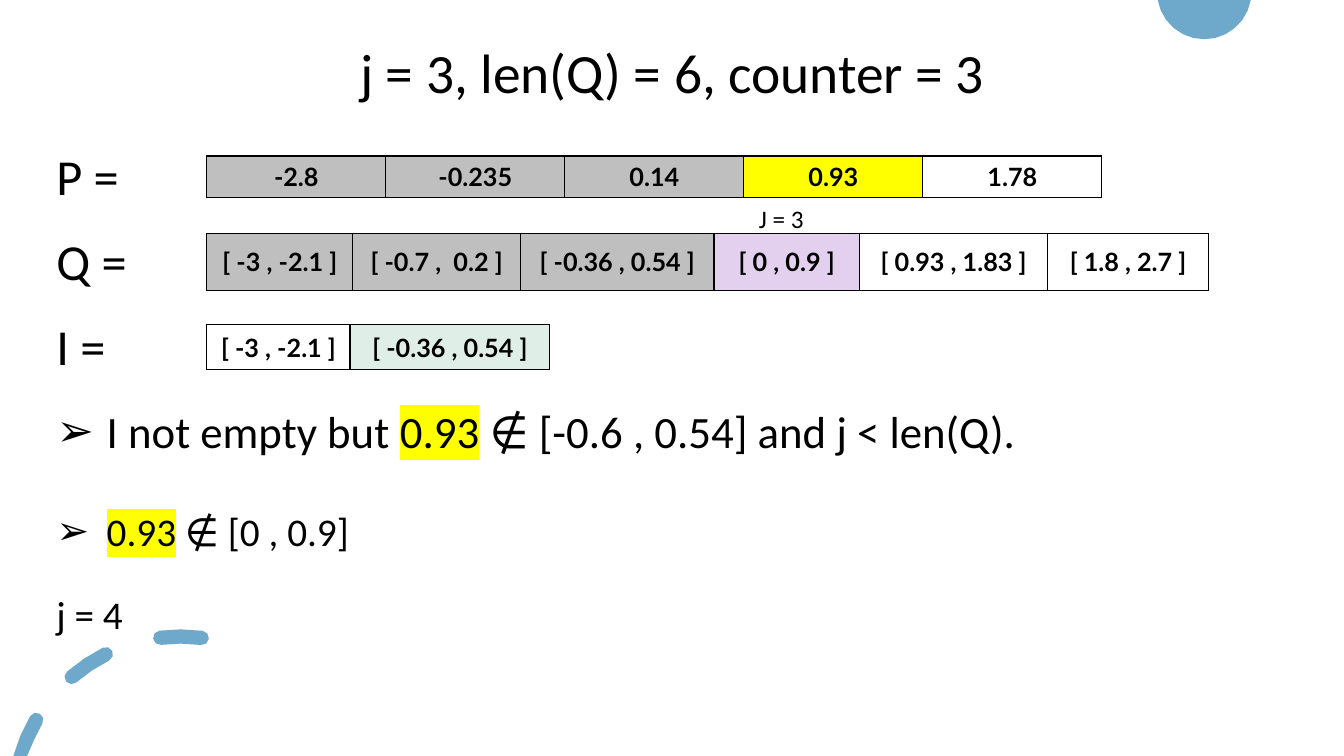
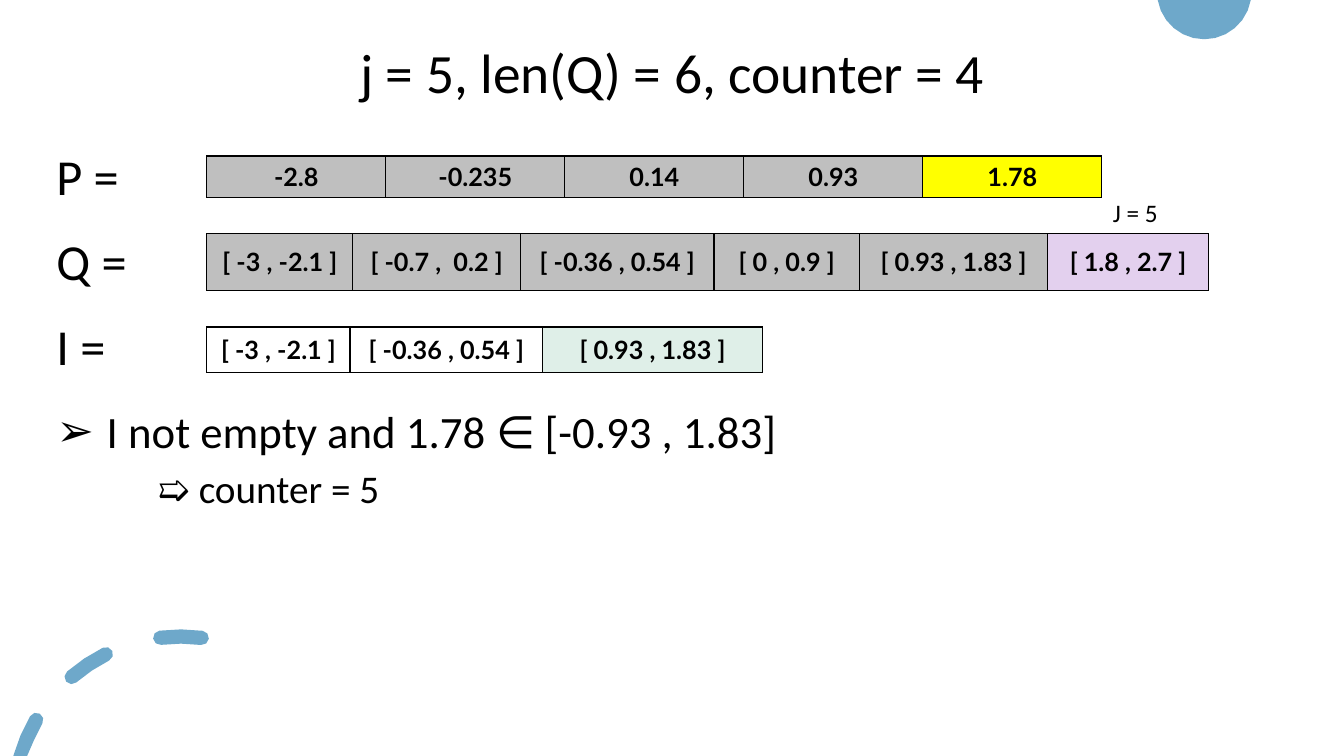
from math import cos, radians, sin

from lxml.etree import SubElement
from pptx import Presentation
from pptx.dml.color import RGBColor
from pptx.enum.text import MSO_ANCHOR as Anchor, PP_ALIGN as Align
from pptx.oxml import parse_xml
from pptx.oxml.ns import nsdecls, qn
from pptx.util import Cm, Pt

BLUE = RGBColor(0x6E, 0xA8, 0xCA)
BLACK = RGBColor(0x00, 0x00, 0x00)
DONE = RGBColor(0xBF, 0xBF, 0xBF)
YELLOW = RGBColor(0xFF, 0xFF, 0x00)
LAVENDER = RGBColor(0xE3, 0xD0, 0xEE)
MINT = RGBColor(0xDF, 0xEF, 0xE8)

TEXT_FONT = "Calibri"
CELL_FONT = "Lato"
SLIDE_WIDTH, SLIDE_HEIGHT = 33.86, 19.05
TEXT_LEFT, TEXT_WIDTH = 1.17, 31.55
TABLE_LEFT = 5.21

POINTS = ["-2.8", "-0.235", "0.14", "0.93", "1.78"]
POINT_WIDTHS = [4.51] * len(POINTS)
INTERVALS = ["[ -3 , -2.1 ]", "[ -0.7 ,  0.2 ]", "[ -0.36 , 0.54 ]",
             "[ 0 , 0.9 ]", "[ 0.93 , 1.83 ]", "[ 1.8 , 2.7 ]"]
INTERVAL_WIDTHS = [3.68, 4.22, 4.88, 3.66, 4.75, 4.04]


def add_outline(slide, contours):
    """Draw closed contours, given in cm, as one blue shape."""
    first, *others = [[(x * 1000, y * 1000) for x, y in contour] for contour in contours]
    builder = slide.shapes.build_freeform(*first[0], scale=Cm(1) / 1000)
    builder.add_line_segments(first[1:])
    for contour in others:
        builder.move_to(*contour[0])
        builder.add_line_segments(contour[1:])
    outline = builder.convert_to_shape()
    outline.shadow.inherit = False
    outline.fill.solid()
    outline.fill.fore_color.rgb = BLUE
    outline.line.fill.background()


def polar(center, radius, degrees):
    """A point on a circle; angles run clockwise from the right."""
    angle = radians(degrees)
    return center[0] + radius * cos(angle), center[1] + radius * sin(angle)


def arc(center, radius, start, end, steps):
    return [polar(center, radius, start + (end - start) * i / steps)
            for i in range(steps + 1)]


def rounded_dash(start, end):
    """A thick arc with round ends, cut off at the foot of the slide."""
    center, radius, half = (4.55, 20.24), 4.2, 0.18
    middle = (start + end) / 2
    contour = [*arc(polar(center, radius, end), half, end, end + 180, 4),
               polar(center, radius - half, middle),
               *arc(polar(center, radius, start), half, start + 180, start + 360, 4),
               polar(center, radius + half, middle)]
    return [(x, min(y, SLIDE_HEIGHT)) for x, y in contour]


def add_decoration(slide):
    add_outline(slide, [arc((30.34, -0.2), 1.19, 9.68, 170.32, 12)])
    add_outline(slide, [rounded_dash(195.9, 210),
                        rounded_dash(229.2, 243.4),
                        rounded_dash(263, 277.3)])


def add_run(paragraph, text, size, font=TEXT_FONT, bold=False, highlight=None):
    run = paragraph.add_run()
    run.text = text
    run.font.size = Pt(size)
    run.font.bold = bold
    run.font.color.rgb = BLACK
    if highlight is not None:
        mark = parse_xml(f'<a:highlight {nsdecls("a")}>'
                         f'<a:srgbClr val="{highlight}"/></a:highlight>')
        run.font._element.find(qn("a:solidFill")).addnext(mark)
    run.font.name = font


def add_text_frame(slide, left, top, width, height, wrap=True):
    box = slide.shapes.add_textbox(Cm(left), Cm(top), Cm(width), Cm(height))
    box.text_frame.word_wrap = wrap
    return box.text_frame


def set_indent(paragraph, margin, symbol=None):
    """Indent a paragraph; a symbol hangs in the margin as its bullet."""
    properties = paragraph._p.get_or_add_pPr()
    properties.set("marL", str(Cm(margin)))
    if symbol:
        properties.set("indent", str(-Cm(margin)))
        SubElement(properties, qn("a:buFont"), typeface=TEXT_FONT)
        SubElement(properties, qn("a:buChar"), char=symbol)


def add_lines(frame, lines):
    """Each line is (size, space before, indent or None, runs); a run is (text, highlight)."""
    for number, (size, space, indent, runs) in enumerate(lines):
        paragraph = frame.add_paragraph() if number else frame.paragraphs[0]
        paragraph.line_spacing = 0.9
        paragraph.space_before = Pt(space)
        if indent:
            set_indent(paragraph, *indent)
        for text, highlight in runs:
            add_run(paragraph, text, size, highlight=highlight)


def add_title(slide, text):
    frame = add_text_frame(slide, 2.34, 0.94, 29.2, 1.93)
    frame.vertical_anchor = Anchor.MIDDLE
    add_lines(frame, [(39.6, 0, None, [(text, None)])])
    frame.paragraphs[0].alignment = Align.CENTER


def add_array_names(slide):
    frame = add_text_frame(slide, TEXT_LEFT, 3.71, TEXT_WIDTH, 13.34)
    add_lines(frame, [(36, 21.6 if number else 0, None, [(f"{name} =", None)])
                      for number, name in enumerate("PQI")])


def set_borders(cell):
    properties = cell._tc.get_or_add_tcPr()
    for position, side in enumerate("LRTB"):
        properties.insert(position, parse_xml(
            f'<a:ln{side} {nsdecls("a")} w="{Pt(1)}"><a:solidFill>'
            f'<a:srgbClr val="{BLACK}"/></a:solidFill></a:ln{side}>'))


def add_array(slide, top, height, values, widths, current, color, done=None):
    """One-row table: cells before the current one take the done colour."""
    table = slide.shapes.add_table(1, len(values), Cm(TABLE_LEFT), Cm(top),
                                   Cm(sum(widths)), Cm(height)).table
    table.first_row = table.horz_banding = False
    for index, (value, width) in enumerate(zip(values, widths)):
        table.columns[index].width = Cm(width)
        cell = table.cell(0, index)
        cell.vertical_anchor = Anchor.MIDDLE
        fill = color if index == current else done if index < current else None
        if fill is None:
            cell.fill.background()
        else:
            cell.fill.solid()
            cell.fill.fore_color.rgb = fill
        set_borders(cell)
        paragraph = cell.text_frame.paragraphs[0]
        paragraph.alignment = Align.CENTER
        add_run(paragraph, value, 18, CELL_FONT, bold=True)


def add_step(deck, j, counter, marker_at, chosen, chosen_widths, chosen_top, reasoning):
    """One step of the algorithm: the arrays P, Q and I, and the reasoning below."""
    slide = deck.slides.add_slide(deck.slide_layouts[6])
    add_decoration(slide)
    add_title(slide, f"j = {j}, len(Q) = {len(INTERVALS)}, counter = {counter}")
    add_array_names(slide)
    add_array(slide, 3.93, 1.04, POINTS, POINT_WIDTHS, counter, YELLOW, DONE)
    add_array(slide, 5.89, 1.43, INTERVALS, INTERVAL_WIDTHS, j, LAVENDER, DONE)
    add_lines(add_text_frame(slide, TEXT_LEFT, 10.19, TEXT_WIDTH, 7.85), reasoning)
    marker = add_text_frame(slide, *marker_at, 2.03, 1.02, wrap=False)
    add_run(marker.paragraphs[0], f"J = {j}", 18)
    add_array(slide, chosen_top, 1.14, [INTERVALS[i] for i in chosen],
              chosen_widths, len(chosen) - 1, MINT)


def main():
    deck = Presentation()
    deck.slide_width, deck.slide_height = Cm(SLIDE_WIDTH), Cm(SLIDE_HEIGHT)
    arrowhead = (1.27, "➢")
    add_step(deck, 3, 3, (18.87, 5), [0, 2], [3.61, 5.03], 8.18, [
        (32, 0, arrowhead, [("I not empty but ", None), ("0.93", YELLOW),
                            (" ∉ [-0.6 , 0.54] and j < len(Q).", None)]),
        (28, 39, arrowhead, [("0.93", YELLOW), (" ∉ [0 , 0.9]", None)]),
        (28, 29.5, None, [("j = 4", None)]),
    ])
    add_step(deck, 5, 4, (27.79, 4.85), [0, 2, 4], [3.61, 4.85, 5.54], 8.24, [
        (32, 0, arrowhead, [("I not empty and 1.78 ∈ [-0.93 , 1.83]", None)]),
        (28, 8.7, (2.54,), [("➯ counter = 5", None)]),
    ])
    deck.save("out.pptx")


if __name__ == "__main__":
    main()
